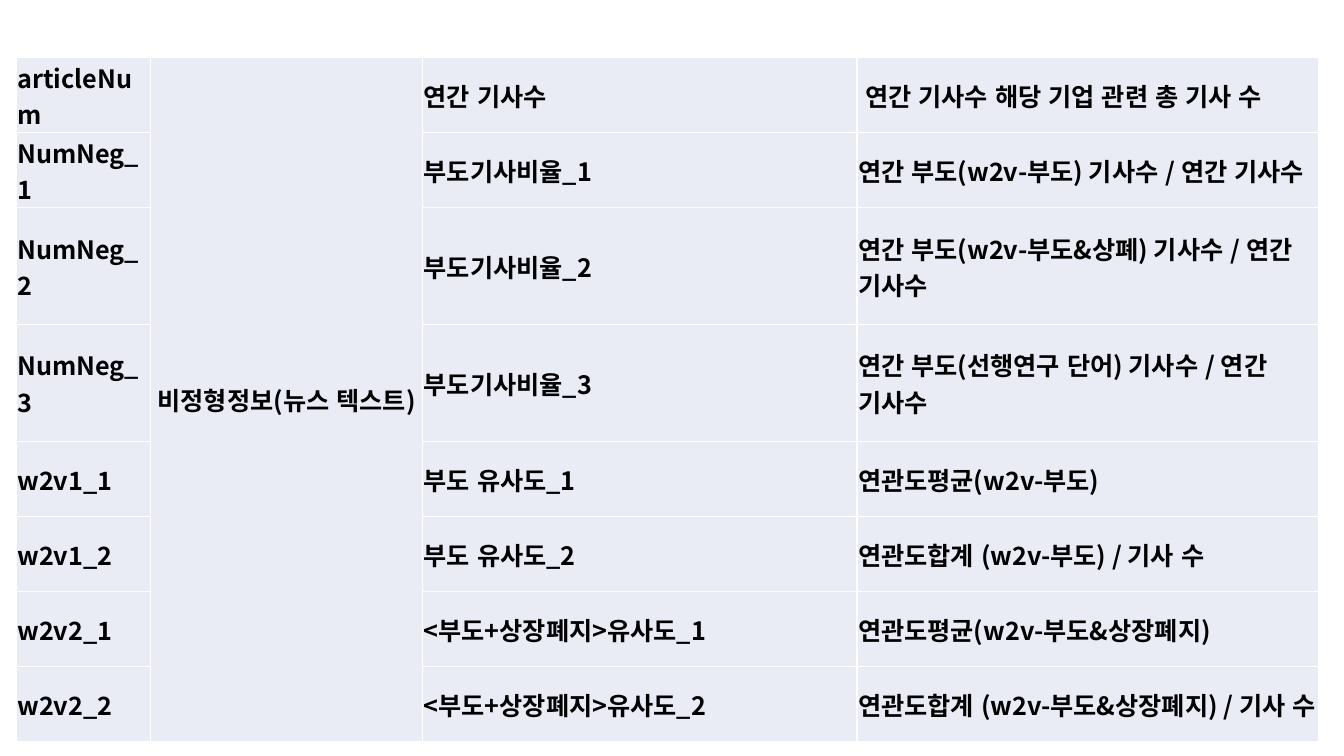
from typing import NamedTuple

from lxml import etree
from pptx import Presentation
from pptx.dml.color import RGBColor
from pptx.enum import lang, text
from pptx.oxml import ns
from pptx.util import Pt

FONT = "Noto Sans CJK KR"
FILL = "E9EBF5"
INK = "000000"
RULE = "FFFFFF"
GROUP = "비정형정보(뉴스 텍스트)"
COLS = (95.8, 194.4, 310.3, 329.8)
LOW, HIGH = 53.6, 83.5


class Var(NamedTuple):
    name: str
    label: str
    note: str
    high: float = LOW


VARS = (
    Var("articleNum", "연간 기사수", " 연간 기사수 해당 기업 관련 총 기사 수"),
    Var("NumNeg_1", "부도기사비율_1", "연간 부도(w2v-부도) 기사수 / 연간 기사수"),
    Var("NumNeg_2", "부도기사비율_2", "연간 부도(w2v-부도&상폐) 기사수 / 연간 기사수", HIGH),
    Var("NumNeg_3", "부도기사비율_3", "연간 부도(선행연구 단어) 기사수 / 연간 기사수", HIGH),
    Var("w2v1_1", "부도 유사도_1", "연관도평균(w2v-부도)"),
    Var("w2v1_2", "부도 유사도_2", "연관도합계 (w2v-부도) / 기사 수"),
    Var("w2v2_1", "<부도+상장폐지>유사도_1", "연관도평균(w2v-부도&상장폐지)"),
    Var("w2v2_2", "<부도+상장폐지>유사도_2", "연관도합계 (w2v-부도&상장폐지) / 기사 수"),
)


def paint(fill, color: str) -> None:
    fill.solid()
    fill.fore_color.rgb = RGBColor.from_string(color)


def write(cell, words: str, size: float = 18, bold: bool = True,
          color: str = INK, align=text.PP_ALIGN.LEFT) -> None:
    par = cell.text_frame.paragraphs[0]
    par.alignment = align
    run = par.add_run()
    run.text = words
    font = run.font
    font.size, font.bold, font.name = Pt(size), bold, FONT
    font.language_id = lang.MSO_LANGUAGE_ID.KOREAN
    paint(font.fill, color)
    props = run._r.get_or_add_rPr()
    etree.SubElement(props, ns.qn("a:ea"), typeface=FONT)


def dress(cell) -> None:
    """Set the margins, anchor, borders and fill of a cell."""
    cell.margin_left = cell.margin_top = cell.margin_right = Pt(0.72)
    cell.margin_bottom = 0
    cell.vertical_anchor = text.MSO_ANCHOR.MIDDLE
    props = cell._tc.get_or_add_tcPr()
    for side in "LRTB":
        line = etree.SubElement(props, ns.qn(f"a:ln{side}"), w=str(Pt(1)))
        solid = etree.SubElement(line, ns.qn("a:solidFill"))
        etree.SubElement(solid, ns.qn("a:srgbClr"), val=RULE)
    paint(cell.fill, FILL)


def main() -> None:
    deck = Presentation()
    deck.slide_width, deck.slide_height = Pt(960), Pt(540)
    slide = deck.slides.add_slide(deck.slide_layouts.get_by_name("Blank"))
    grid = slide.shapes.add_table(
        len(VARS), len(COLS), Pt(11.7), Pt(41),
        Pt(sum(COLS)), Pt(sum(var.high for var in VARS))).table
    grid.first_row = grid.horz_banding = False
    for col, wide in zip(grid.columns, COLS):
        col.width = Pt(wide)
    for cell in grid.iter_cells():
        dress(cell)
    for i, var in enumerate(VARS):
        grid.rows[i].height = Pt(var.high)
        write(grid.cell(i, 0), var.name)
        write(grid.cell(i, 2), var.label)
        write(grid.cell(i, 3), var.note)
    group = grid.cell(0, 1)
    group.merge(grid.cell(len(VARS) - 1, 1))
    write(group, GROUP, align=text.PP_ALIGN.CENTER)
    deck.save("out.pptx")


if __name__ == "__main__":
    main()
